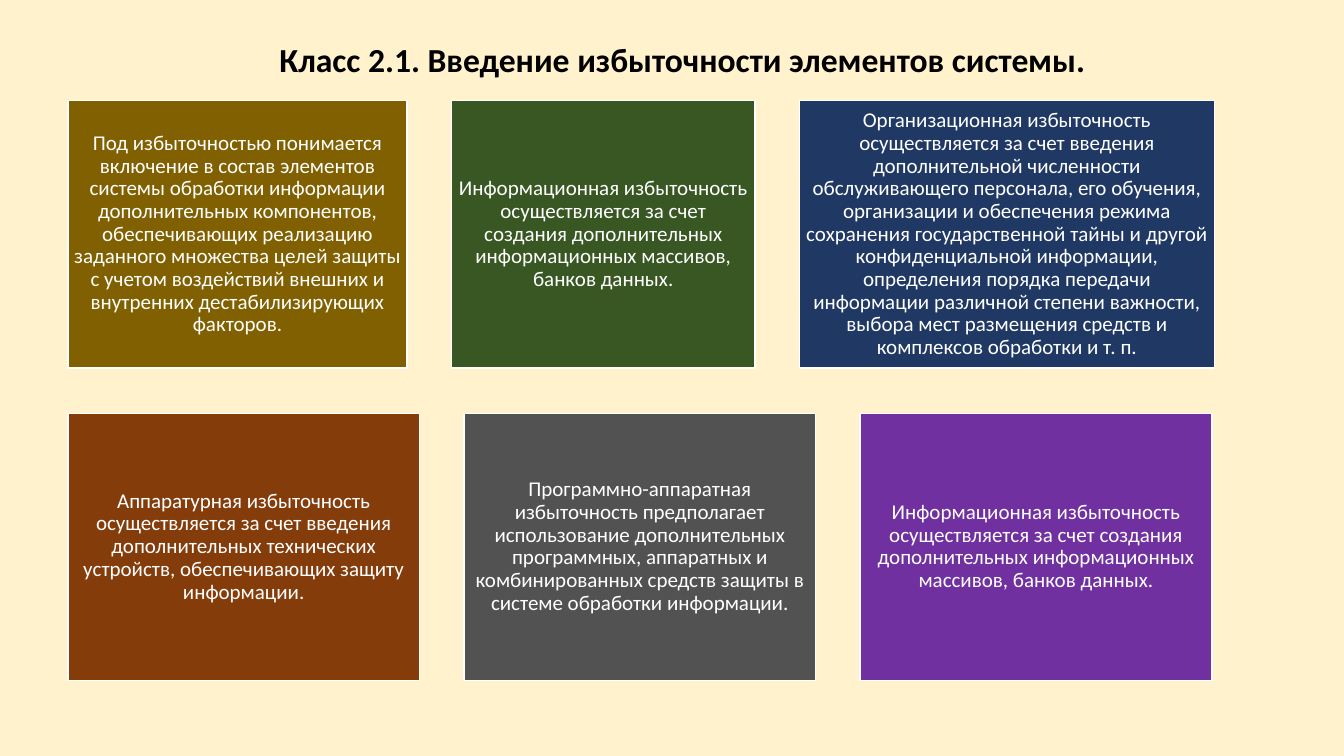
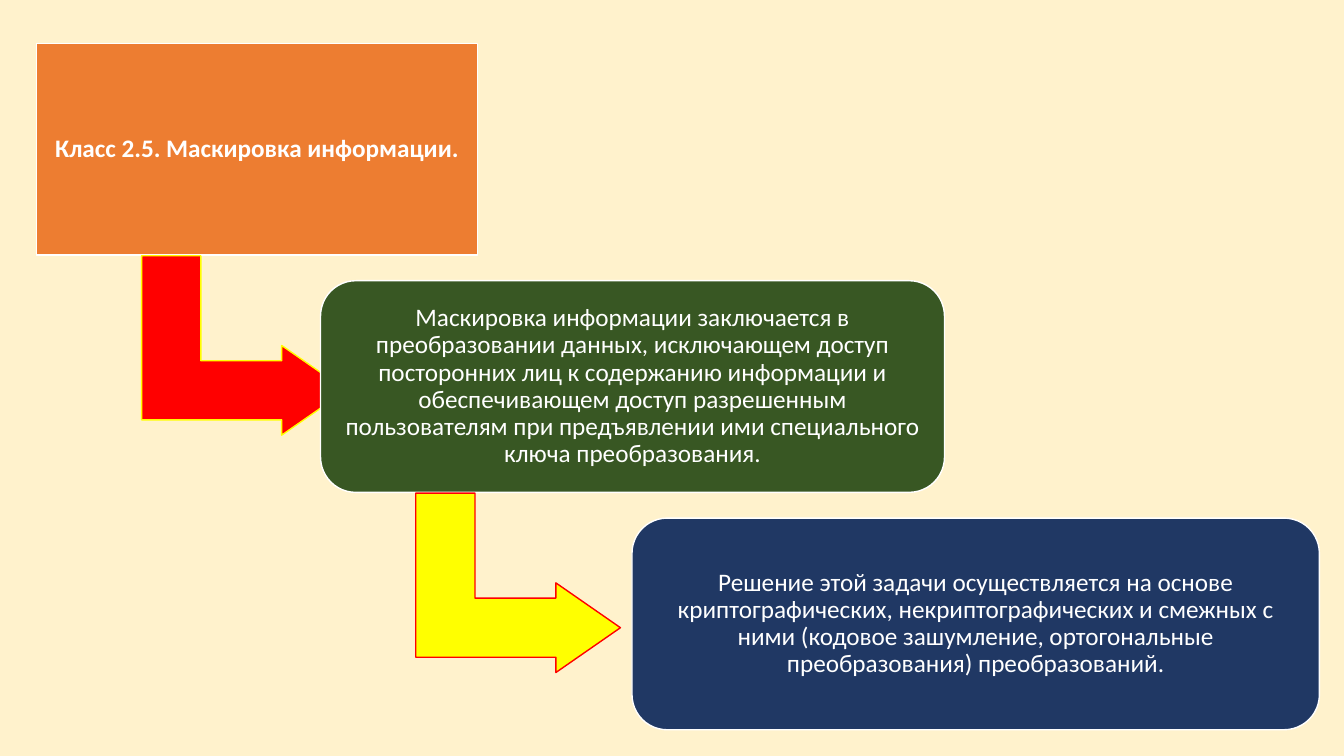
from lxml import etree
from pptx import Presentation
from pptx.dml.color import RGBColor
from pptx.enum.shapes import MSO_SHAPE
from pptx.enum.text import MSO_ANCHOR, MSO_AUTO_SIZE, PP_ALIGN
from pptx.oxml.ns import qn
from pptx.util import Inches, Pt

RECTANGLE = MSO_SHAPE.RECTANGLE
ROUNDED = MSO_SHAPE.ROUNDED_RECTANGLE
BENT_ARROW = MSO_SHAPE.BENT_UP_ARROW
MIDDLE = MSO_ANCHOR.MIDDLE
NO_FIT = MSO_AUTO_SIZE.NONE
CENTER = PP_ALIGN.CENTER

COLUMNS, ROWS = 40, 30
TITLE_ONLY = 5
FONT = "Calibri"
CREAM, WHITE, BLACK = "FFF2CC", "FFFFFF", "000000"
OCHRE, GREEN, NAVY = "806000", "385723", "203864"
BROWN, GRAY, PURPLE = "843C0B", "525252", "7030A0"
ORANGE, RED, YELLOW = "ED7D31", "FF0000", "FFFF00"


def rgb(value):
    return RGBColor.from_string(value)


def write(shape, text, size=15, color=WHITE, bold=False, inset=0.06):
    frame = shape.text_frame
    frame.text = text
    frame.word_wrap = True
    frame.auto_size = NO_FIT
    frame.vertical_anchor = MIDDLE
    frame.margin_left = frame.margin_right = Inches(inset)
    frame.margin_top = frame.margin_bottom = Inches(inset)
    paragraph = frame.paragraphs[0]
    paragraph.alignment = CENTER
    paragraph.line_spacing = 0.9
    font = paragraph.runs[0].font
    font.name, font.size, font.bold = FONT, Pt(size), bold
    font.color.rgb = rgb(color)


class Deck:
    def __init__(self):
        self.prs = Presentation()
        self.prs.slide_width = Inches(13.33)
        self.prs.slide_height = Inches(7.5)
        background = self.prs.slide_master.background.fill
        background.solid()
        background.fore_color.rgb = rgb(CREAM)
        self.slide = None

    def new_slide(self):
        layout = self.prs.slide_layouts[TITLE_ONLY]
        self.slide = self.prs.slides.add_slide(layout)

    def area(self, column, row, columns, rows):
        across = self.prs.slide_width / COLUMNS
        down = self.prs.slide_height / ROWS
        return (round(column * across), round(row * down),
                round(columns * across), round(rows * down))

    def paint(self, shape, fill, line=WHITE):
        shape.fill.solid()
        shape.fill.fore_color.rgb = rgb(fill)
        shape.line.color.rgb = rgb(line)
        shape.line.width = Pt(1)
        shape.shadow.inherit = False

    def title(self, place, text, **style):
        heading = self.slide.shapes.title
        heading.left, heading.top, heading.width, heading.height = self.area(*place)
        write(heading, text, bold=True, **style)
        return heading

    def title_card(self, place, text, fill, **style):
        heading = self.title(place, text, **style)
        outline = etree.SubElement(heading.element.spPr, qn("a:prstGeom"), prst="roundRect")
        etree.SubElement(outline, qn("a:avLst"))
        self.paint(heading, fill)

    def card(self, place, text, fill, kind=RECTANGLE, **style):
        card = self.slide.shapes.add_shape(kind, *self.area(*place))
        self.paint(card, fill)
        write(card, text, **style)

    def arrow(self, place, fill, line):
        arrow = self.slide.shapes.add_shape(BENT_ARROW, *self.area(*place))
        arrow.rotation = 90
        for index, share in enumerate((0.33, 0.25, 0.36)):
            arrow.adjustments[index] = share
        self.paint(arrow, fill, line)


def redundancy_slide(deck):
    deck.new_slide()
    deck.title((3.06, 0, 34.5, 4.92),
               "Класс 2.1. Введение избыточности элементов системы.",
               size=24, color=BLACK, inset=0.1)
    information = ("Информационная избыточность осуществляется за счет создания "
                   "дополнительных информационных массивов, банков данных.")
    card_rows = [
        (4, [
            (10.1, OCHRE,
             "Под избыточностью понимается включение в состав элементов системы "
             "обработки информации дополнительных компонентов, обеспечивающих "
             "реализацию заданного множества целей защиты с учетом воздействий "
             "внешних и внутренних дестабилизирующих факторов."),
            (9.03, GREEN, information),
            (12.36, NAVY,
             "Организационная избыточность осуществляется за счет введения "
             "дополнительной численности обслуживающего персонала, его обучения, "
             "организации и обеспечения режима сохранения государственной тайны "
             "и другой конфиденциальной информации, определения порядка передачи "
             "информации различной степени важности, выбора мест размещения "
             "средств и комплексов обработки и т. п."),
        ]),
        (16.4, [
            (10.47, BROWN,
             "Аппаратурная избыточность осуществляется за счет введения "
             "дополнительных технических устройств, обеспечивающих защиту "
             "информации."),
            (10.47, GRAY,
             "Программно-аппаратная избыточность предполагает использование "
             "дополнительных программных, аппаратных и комбинированных средств "
             "защиты в системе обработки информации."),
            (10.47, PURPLE, information),
        ]),
    ]
    left, gap, height = 2.02, 1.32, 10.6
    for row, cards in card_rows:
        column = left
        for width, fill, text in cards:
            deck.card((column, row, width, height), text, fill)
            column += width + gap


def masking_slide(deck):
    deck.new_slide()
    top, step, height = 1.72, 9.42, 8.4
    style = {"size": 18, "inset": 0.07}
    deck.title_card((1.08, top, 13.14, height),
                    "Класс 2.5. Маскировка информации.", ORANGE, **style)
    stages = [
        (4.59, RED, YELLOW, 9.54, 18.57, GREEN,
         "Маскировка информации заключается в преобразовании данных, "
         "исключающем доступ посторонних лиц к содержанию информации и "
         "обеспечивающем доступ разрешенным пользователям при предъявлении "
         "ими специального ключа преобразования."),
        (12.75, YELLOW, RED, 18.81, 20.46, NAVY,
         "Решение этой задачи осуществляется на основе криптографических, "
         "некриптографических и смежных с ними (кодовое зашумление, "
         "ортогональные преобразования) преобразований."),
    ]
    for index, (bend, inside, edge, column, width, fill, text) in enumerate(stages):
        deck.arrow((bend, 9.65 + index * step, 5.34, 8.12), inside, edge)
        deck.card((column, top + (index + 1) * step, width, height),
                  text, fill, ROUNDED, **style)


def main():
    deck = Deck()
    redundancy_slide(deck)
    masking_slide(deck)
    deck.prs.save("out.pptx")


if __name__ == "__main__":
    main()
